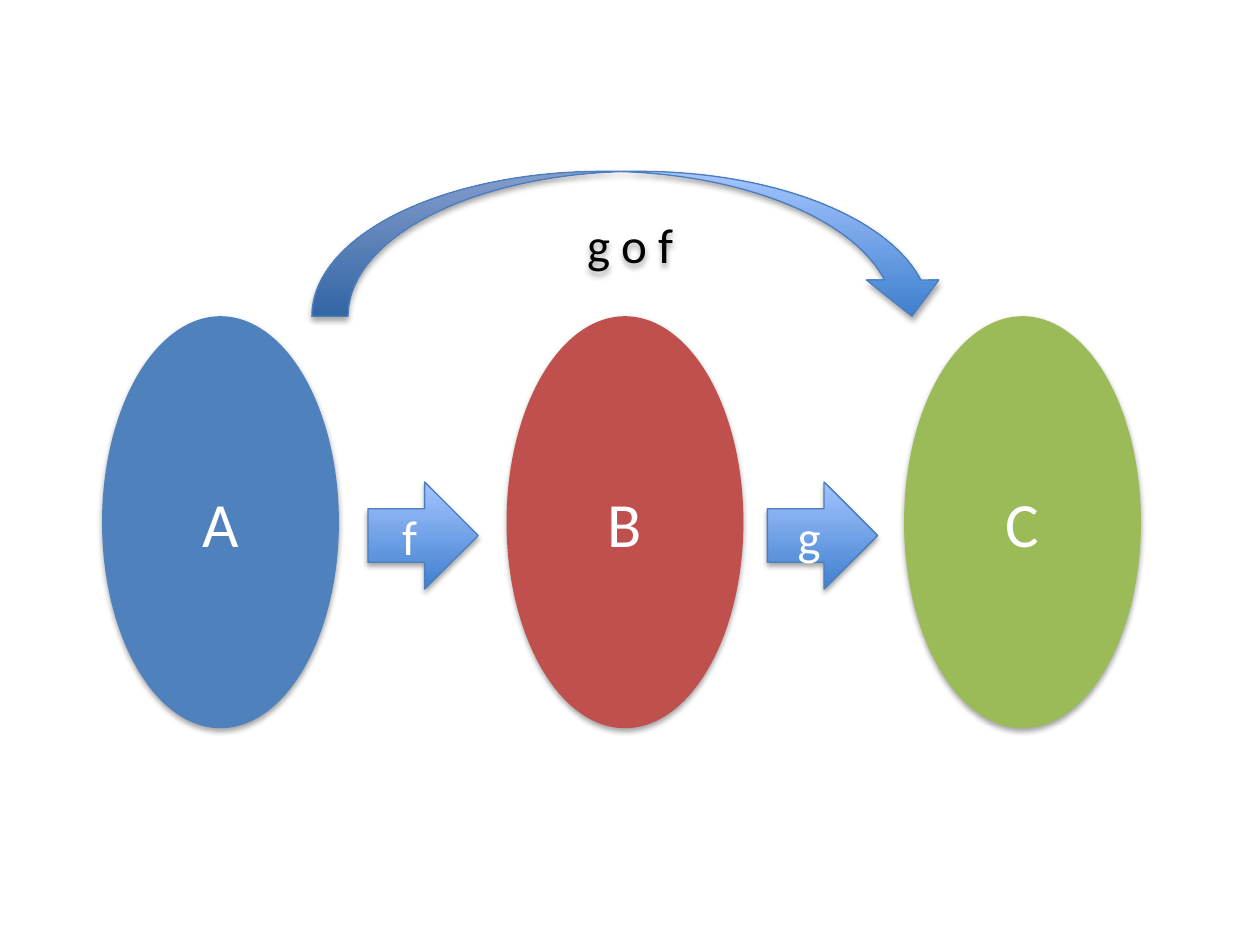
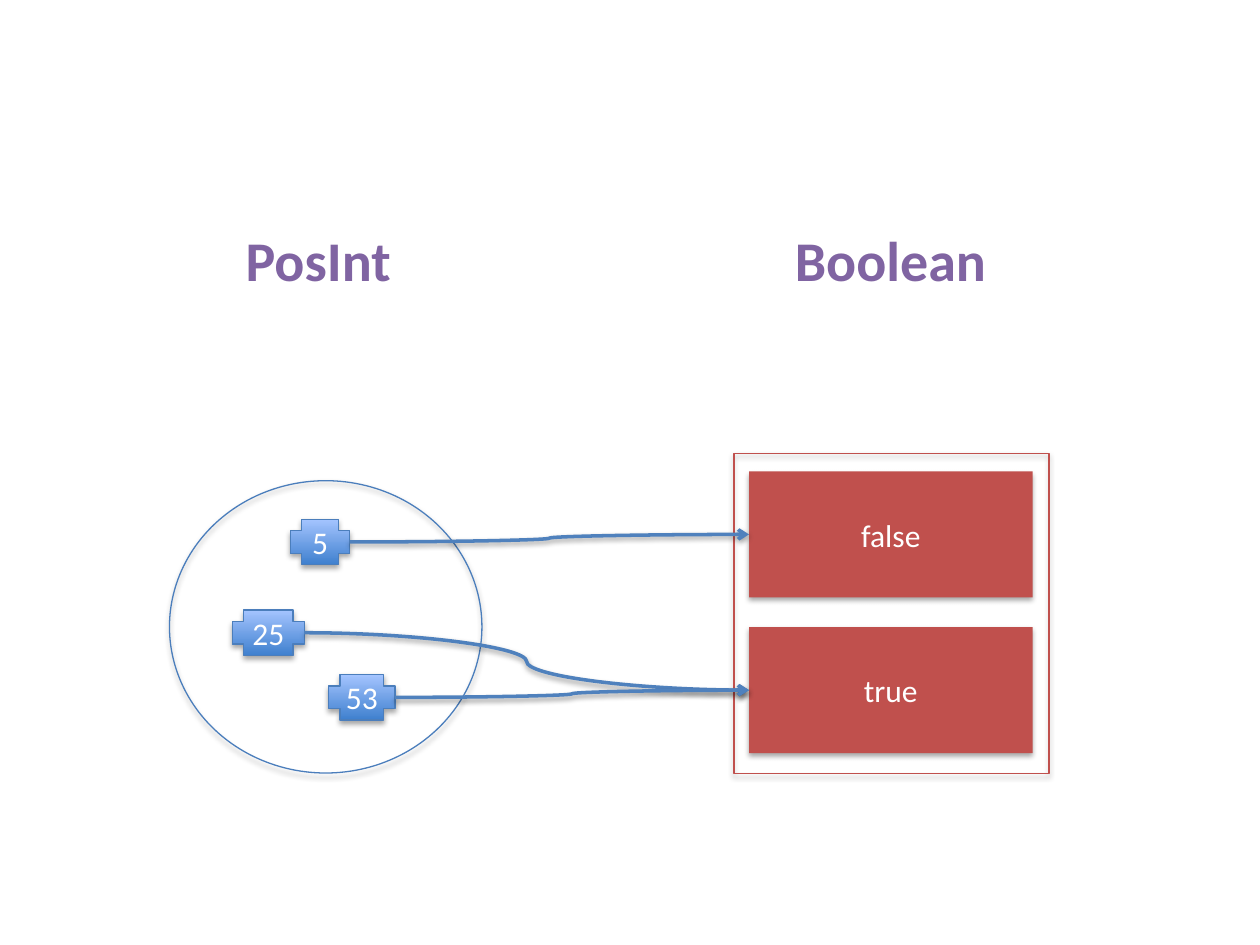
"""Two slides on functions: composition of f and g, and a mapping from PosInt to Boolean."""
from dataclasses import dataclass

from pptx import Presentation
from pptx.dml.color import RGBColor
from pptx.enum.shapes import MSO_CONNECTOR, MSO_SHAPE
from pptx.enum.text import MSO_AUTO_SIZE, PP_ALIGN
from pptx.oxml import parse_xml
from pptx.oxml.ns import nsdecls, qn
from pptx.util import Inches, Pt


@dataclass(frozen=True)
class Theme:
    font: str = "Calibri"
    blue: str = "4F81BD"
    red: str = "C0504D"
    green: str = "9BBB59"
    purple: str = "8064A2"
    outline: str = "4B7EBC"
    gradient: tuple = ("3F80CE", "A4C4FF")
    white: str = "FFFFFF"
    black: str = "000000"
    set_size: int = 36
    heading_size: int = 32
    function_size: int = 28
    value_size: int = 18
    thin: float = 0.75
    thick: float = 2


theme = Theme()
presentation = Presentation()
presentation.slide_width, presentation.slide_height = Inches(10), Inches(7.5)
column = presentation.slide_width / 100
row = presentation.slide_height / 75
blank_layout = presentation.slide_layouts[6]


def add_shadow(shape, opacity, distance):
    shape.element.spPr.append(parse_xml(
        f'<a:effectLst {nsdecls("a")}><a:outerShdw blurRad="{Pt(3.1)}" dist="{Pt(distance)}" '
        f'dir="5400000" rotWithShape="0"><a:srgbClr val="{theme.black}">'
        f'<a:alpha val="{opacity * 1000}"/></a:srgbClr></a:outerShdw></a:effectLst>'))


def add_figure(slide, kind, place, fill=None, line=None, text="", size=theme.value_size,
               color=theme.white):
    left, top, width, height = place
    shape = slide.shapes.add_shape(kind, round(left * column), round(top * row),
                                   round(width * column), round(height * row))
    if fill == theme.gradient:
        shape.fill.gradient()
        shape.fill.gradient_angle = 90
        for stop, position, stop_color in zip(shape.fill.gradient_stops, (0, 1), fill):
            stop.position = position
            stop.color.rgb = RGBColor.from_string(stop_color)
    elif fill:
        shape.fill.solid()
        shape.fill.fore_color.rgb = RGBColor.from_string(fill)
    else:
        shape.fill.background()
    if line:
        shape.line.color.rgb = RGBColor.from_string(line)
        shape.line.width = Pt(theme.thin)
    else:
        shape.line.fill.background()
    add_shadow(shape, 35, 1.8)
    if text:
        shape.text_frame.text = text
        paragraph = shape.text_frame.paragraphs[0]
        paragraph.alignment = PP_ALIGN.CENTER
        font = paragraph.runs[0].font
        font.name, font.size = theme.font, Pt(size)
        font.color.rgb = RGBColor.from_string(color)
    return shape


composition = presentation.slides.add_slide(blank_layout)
for name, left, color in (("A", 8.1, theme.blue), ("B", 40.2, theme.red), ("C", 71.75, theme.green)):
    add_figure(composition, MSO_SHAPE.OVAL, (left, 25.1, 18.8, 32.7), color,
               text=name, size=theme.set_size)
for name, left in (("f", 29.2), ("g", 60.9)):
    add_figure(composition, MSO_SHAPE.RIGHT_ARROW, (left, 38.25, 8.75, 8.5), theme.gradient,
               theme.outline, name, theme.function_size)
add_figure(composition, MSO_SHAPE.CURVED_DOWN_ARROW, (24.75, 13.6, 50.5, 11.5), theme.gradient,
           theme.outline, "g o f", theme.function_size, theme.black)

mapping = presentation.slides.add_slide(blank_layout)
add_figure(mapping, MSO_SHAPE.OVAL, (13.45, 38.15, 24.8, 23.2), line=theme.outline)
add_figure(mapping, MSO_SHAPE.RECTANGLE, (58.25, 36, 25, 25.4), line=theme.red)

for heading, left, width in (("PosInt", 18.5, 13.75), ("Boolean", 62.1, 17.3)):
    text_box = mapping.shapes.add_textbox(round(left * column), round(17.4 * row),
                                          round(width * column), round(6.4 * row))
    text_box.text_frame.word_wrap = False
    text_box.text_frame.auto_size = MSO_AUTO_SIZE.SHAPE_TO_FIT_TEXT
    text_box.text_frame.text = heading
    font = text_box.text_frame.paragraphs[0].runs[0].font
    font.name, font.size, font.bold = theme.font, Pt(theme.heading_size), True
    font.color.rgb = RGBColor.from_string(theme.purple)

results = {}
for index, name in enumerate(("false", "true")):
    results[name] = add_figure(mapping, MSO_SHAPE.RECTANGLE,
                               (59.45, 37.42 + index * 12.36, 22.5, 10), theme.red, text=name)

for number, left, top, width, result in (("5", 23.05, 41.22, 4.7, "false"),
                                         ("25", 18.45, 48.42, 5.7, "true"),
                                         ("53", 26.1, 53.55, 5.25, "true")):
    value = add_figure(mapping, MSO_SHAPE.CROSS, (left, top, width, 3.6), theme.gradient,
                       theme.outline, number)
    connector = mapping.shapes.add_connector(MSO_CONNECTOR.CURVE, 0, 0, 0, 0)
    connector.begin_connect(value, 3)
    connector.end_connect(results[result], 1)
    connector.line.color.rgb = RGBColor.from_string(theme.blue)
    connector.line.width = Pt(theme.thick)
    connector.element.spPr.find(qn("a:ln")).append(
        parse_xml(f'<a:tailEnd {nsdecls("a")} type="arrow"/>'))
    add_shadow(connector, 38, 1.6)

presentation.save("out.pptx")
